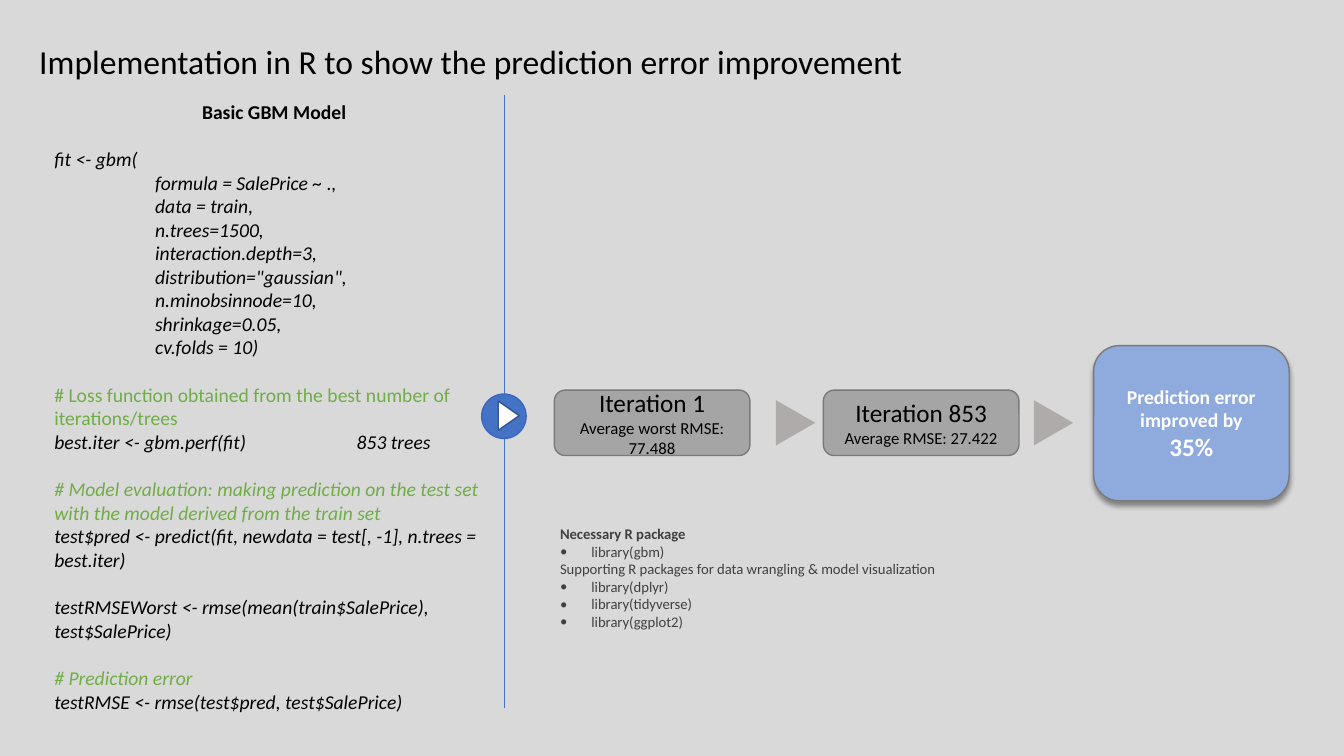
"""Build the slide on the GBM implementation in R and its prediction error."""
from lxml.etree import SubElement
from pptx import Presentation
from pptx.dml.color import RGBColor
from pptx.enum.shapes import MSO_CONNECTOR as CONN, MSO_SHAPE as SHAPE
from pptx.enum.text import MSO_ANCHOR as ANCHOR, PP_ALIGN as ALIGN
from pptx.oxml.ns import qn
from pptx.util import Cm, Pt

FONT = "Calibri"
COLORS = {
    "back": "D9D9D9", "black": "000000", "white": "FFFFFF", "green": "70AD47",
    "blue": "4472C4", "blue_edge": "3B65C3", "play_edge": "325491",
    "gray": "A5A5A5", "gray_edge": "7A7A7A", "arrow": "AFABAB",
    "result": "8FAADC", "dark": "404040",
}
CODE = {"size": Pt(14), "italic": True}
COMMENT = {**CODE, "color": "green"}
HEAD = {"size": Pt(14), "bold": True}
PLAIN_COMMENT = {**COMMENT, "italic": False}
GAP = {"space_before": Pt(17)}
ARGUMENTS = [
    "formula = SalePrice ~ .,", "data = train,", "n.trees=1500,",
    "interaction.depth=3,", 'distribution="gaussian",', "n.minobsinnode=10,",
    "shrinkage=0.05,", "cv.folds = 10)",
]
MODEL = [
    ("Basic GBM Model", HEAD, {"alignment": ALIGN.CENTER}),
    ("fit <- gbm(", CODE, GAP),
    *[(arg, CODE, {"left": Cm(2.54)}) for arg in ARGUMENTS],
    ("# Loss function obtained from the best number of iterations/trees", PLAIN_COMMENT, GAP),
    ("best.iter <- gbm.perf(fit)\t853 trees", CODE, {"tab": Cm(7.62)}),
    ("# Model evaluation: making prediction on the test set with the model "
     "derived from the train set", COMMENT, GAP),
    ("test$pred <- predict(fit, newdata = test[, -1], n.trees = best.iter)", CODE, {}),
    ("testRMSEWorst <- rmse(mean(train$SalePrice), test$SalePrice)", CODE, GAP),
    ("# Prediction error", COMMENT, GAP),
    ("testRMSE <- rmse(test$pred, test$SalePrice)", CODE, {}),
]
NOTE = {"size": Pt(10.5), "color": "dark"}
JUSTIFY = {"alignment": ALIGN.JUSTIFY}
BULLET = {**JUSTIFY, "left": Cm(0.79), "bullet": "•"}
PACKAGES = [
    ("Necessary R package", {**NOTE, "bold": True}, JUSTIFY),
    ("library(gbm)", NOTE, BULLET),
    ("Supporting R packages for data wrangling & model visualization", NOTE, JUSTIFY),
    *[(f"library({name})", NOTE, BULLET) for name in ("dplyr", "tidyverse", "ggplot2")],
]
CENTER = {"alignment": ALIGN.CENTER}
ITERATIONS = [
    (13.97, "Iteration 1", "Average worst RMSE: 77.488"),
    (20.75, "Iteration 853", "Average RMSE: 27.422"),
]


def rgb(name):
    """Return the named colour."""
    return RGBColor.from_string(COLORS[name])


def set_attrs(obj, values):
    """Set each attribute in values on obj."""
    for name, value in values.items():
        setattr(obj, name, value)


def format_paragraph(p, left=None, tab=None, bullet=None, **values):
    """Apply indent, tab stop, bullet and plain attributes to a paragraph."""
    set_attrs(p, values)
    pPr = p._p.get_or_add_pPr()
    if left:
        pPr.set("marL", str(left))
    if bullet:
        pPr.set("indent", str(-left))
        SubElement(pPr, qn("a:buFont"), typeface=FONT)
        SubElement(pPr, qn("a:buChar"), char=bullet)
    if tab:
        tabs = SubElement(pPr, qn("a:tabLst"))
        SubElement(tabs, qn("a:tab"), pos=str(tab), algn="l")


def write(sp, lines, **frame):
    """Fill a shape with (text, font, paragraph) lines."""
    tf = sp.text_frame
    set_attrs(tf, {"word_wrap": True, **frame})
    for i, (text, font, layout) in enumerate(lines):
        p = tf.add_paragraph() if i else tf.paragraphs[0]
        format_paragraph(p, **{"alignment": ALIGN.LEFT, **layout})
        r = p.add_run()
        r.text = text
        values = {"name": FONT, "color": "black", **font}
        r.font.color.rgb = rgb(values.pop("color"))
        set_attrs(r.font, values)


def add_text(s, box, lines):
    """Add a text box."""
    write(s.shapes.add_textbox(*map(Cm, box)), lines)


def add_figure(s, kind, box, fill, edge=None, rotation=0):
    """Add a filled shape with an optional outline."""
    sp = s.shapes.add_shape(kind, *map(Cm, box))
    sp.rotation = rotation
    sp.shadow.inherit = False
    sp.fill.solid()
    sp.fill.fore_color.rgb = rgb(fill)
    if edge:
        sp.line.color.rgb = rgb(edge)
        sp.line.width = Pt(1)
    else:
        sp.line.fill.background()
    return sp


def add_divider(s, x, top, bottom):
    """Add the thin vertical line."""
    line = s.shapes.add_connector(CONN.STRAIGHT, Cm(x), Cm(top), Cm(x), Cm(bottom))
    line.line.color.rgb = rgb("blue")
    line.line.width = Pt(0.5)
    SubElement(line._element.spPr, qn("a:effectLst"))


def add_shadow(sp):
    """Give a shape a soft shadow below it."""
    effects = sp._element.spPr.find(qn("a:effectLst"))
    shadow = SubElement(effects, qn("a:outerShdw"), blurRad=str(Pt(4)),
                        dist=str(Pt(3)), dir="5400000", algn="t", rotWithShape="0")
    color = SubElement(shadow, qn("a:srgbClr"), val=COLORS["black"])
    SubElement(color, qn("a:alpha"), val="40000")


def main():
    """Build and save the slide."""
    prs = Presentation()
    set_attrs(prs, {"slide_width": Cm(33.87), "slide_height": Cm(19.05)})
    s = prs.slides.add_slide(prs.slide_layouts[6])
    s.background.fill.solid()
    s.background.fill.fore_color.rgb = rgb("back")

    title = "Implementation in R to show the prediction error improvement"
    add_text(s, (0.74, 0.91, 28.47, 1.27), [(title, {"size": Pt(24)}, {})])
    add_text(s, (1.12, 2.39, 11.58, 15.9), MODEL)
    add_divider(s, 12.7, 2.39, 17.83)
    add_figure(s, SHAPE.OVAL, (12.14, 9.93, 1.12, 1.12), "blue", "blue_edge")
    add_figure(s, SHAPE.ISOSCELES_TRIANGLE, (12.45, 10.21, 0.74, 0.53), "white", "play_edge", 90)

    for x, name, error in ITERATIONS:
        card = add_figure(s, SHAPE.ROUNDED_RECTANGLE, (x, 9.83, 4.93, 1.65), "gray", "gray_edge")
        write(card, [(name, {"size": Pt(18)}, CENTER), (error, {"size": Pt(12)}, CENTER)],
              vertical_anchor=ANCHOR.MIDDLE)
    for x in (19.48, 25.98):
        add_figure(s, SHAPE.ISOSCELES_TRIANGLE, (x, 10.16, 1.14, 0.99), "arrow", rotation=90)

    result = add_figure(s, SHAPE.ROUNDED_RECTANGLE, (27.56, 8.71, 4.93, 3.91),
                        "result", "gray_edge")
    add_shadow(result)
    bold = {"bold": True, "color": "white"}
    write(result, [("Prediction error improved by", {**bold, "size": Pt(14)}, CENTER),
                   ("35%", {**bold, "size": Pt(18)}, CENTER)], vertical_anchor=ANCHOR.MIDDLE)

    packages = add_figure(s, SHAPE.ROUNDED_RECTANGLE, (13.69, 12.73, 12.4, 3.58), "back")
    write(packages, PACKAGES, vertical_anchor=ANCHOR.TOP, margin_top=Cm(0.32))
    prs.save("out.pptx")


if __name__ == "__main__":
    main()
